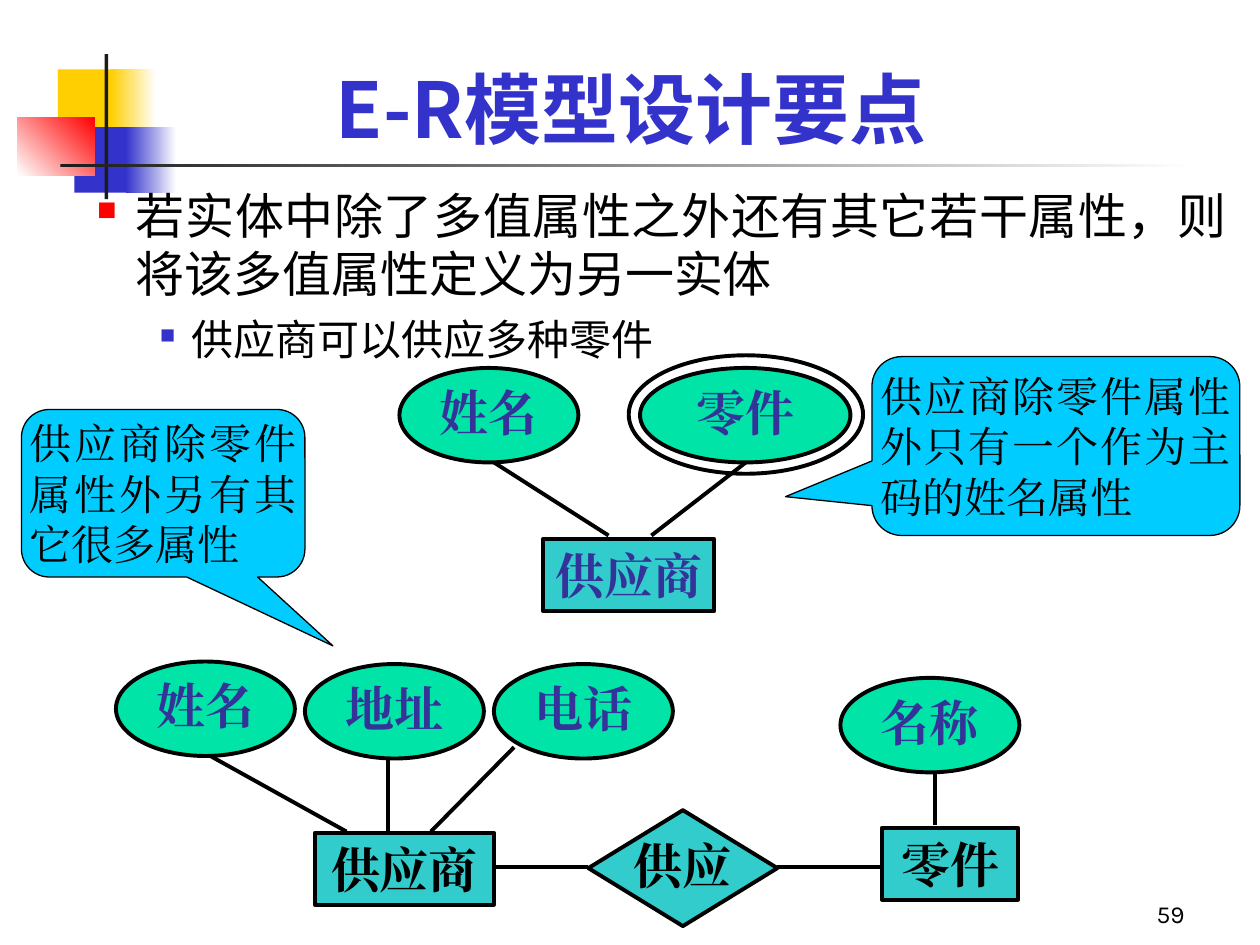
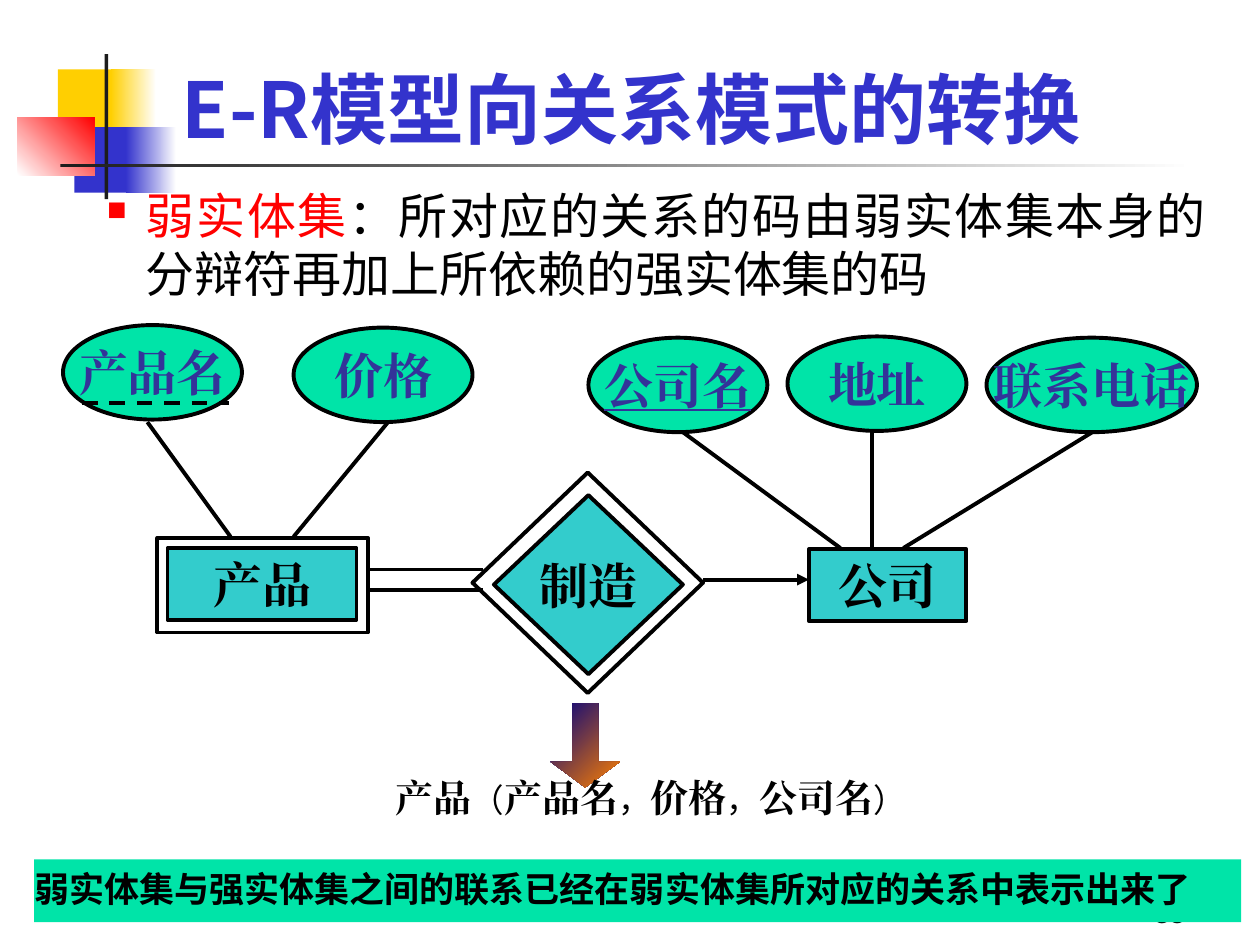
from lxml import etree
from pptx import Presentation
from pptx.dml.color import RGBColor
from pptx.enum.dml import MSO_LINE
from pptx.enum.shapes import MSO_CONNECTOR, MSO_SHAPE
from pptx.enum.text import MSO_ANCHOR, MSO_AUTO_SIZE, PP_ALIGN
from pptx.oxml.ns import qn
from pptx.util import Inches, Pt

RECTANGLE = MSO_SHAPE.RECTANGLE
ELLIPSE = MSO_SHAPE.OVAL
DIAMOND = MSO_SHAPE.DIAMOND
CALLOUT = MSO_SHAPE.ROUNDED_RECTANGULAR_CALLOUT
DOWN_ARROW = MSO_SHAPE.DOWN_ARROW
STRAIGHT = MSO_CONNECTOR.STRAIGHT
DASH = MSO_LINE.DASH
MIDDLE = MSO_ANCHOR.MIDDLE
BOTTOM = MSO_ANCHOR.BOTTOM
NO_AUTOFIT = MSO_AUTO_SIZE.NONE
CENTER = PP_ALIGN.CENTER
RIGHT = PP_ALIGN.RIGHT
JUSTIFY = PP_ALIGN.JUSTIFY

COLORS = {
    "black": "000000",
    "white": "FFFFFF",
    "charcoal": "1C1C1C",
    "yellow": "FFCF01",
    "red": "FF0000",
    "blue": "3333CC",
    "label": "333399",
    "entity": "33CCCC",
    "attribute": "00E4A8",
    "callout": "00CCFF",
    "navy": "000082",
    "orange": "FF8200",
}
TITLE_FONT = "Noto Sans CJK SC"
BODY_FONT = "Karla"
DIAGRAM_FONT = "Times New Roman"
LINE_WIDTH = 2.25

DECORATIONS = [
    ((0.46, 0.55, 0.48, 0.52), ["yellow"], 0),
    ((0.88, 0.55, 0.36, 0.52), ["yellow", "white"], 0),
    ((0.59, 1.01, 0.46, 0.52), ["blue"], 0),
    ((1, 1.01, 0.4, 0.52), ["blue", "white"], 0),
    ((0.14, 0.93, 0.61, 0.46), ["white", "red"], 45),
    ((0.83, 0.43, 0.03, 1.15), ["charcoal"], 0),
    ((0.48, 1.3, 9, 0.03), ["charcoal", "white"], 0),
]
BULLETS = {
    1: {"left": 0.81, "indent": -0.31, "color": "red", "percent": 55, "size": 28, "before": 0},
    2: {"left": 1.25, "indent": -0.25, "color": "blue", "percent": 50, "size": 24, "before": 6},
}
PAGES = [
    {
        "title": "E-R模型设计要点",
        "number": "59",
        "body_box": (0.17, 1.42, 9.67, 1.67),
        "body": [
            (1, [("若实体中除了多值属性之外还有其它若干属性，则将该多值属性定义为另一实体", "black")]),
            (2, [("供应商可以供应多种零件", "black")]),
        ],
        "spacing": 0.9,
        "outlines": [(ELLIPSE, (4.99, 2.82, 1.86, 0.94))],
        "attributes": [
            ("姓名", 3.17, 2.92, 1.42),
            ("零件", 5.08, 2.92, 1.67),
            ("名称", 6.67, 5.38, 1.42),
            ("姓名", 0.92, 5.25, 1.42),
            ("地址", 2.42, 5.27, 1.42),
            ("电话", 3.92, 5.27, 1.42),
        ],
        "entities": [
            ("供应商", 4.31, 4.28, 1.36, "label"),
            ("零件", 7, 6.57, 1.08, "black"),
            ("供应商", 2.5, 6.61, 1.42, "black"),
        ],
        "relation": ("供应", (4.67, 6.43, 1.5, 0.92)),
        "lines": [
            (5.92, 3.67, 5.17, 4.25),
            (4.83, 4.25, 3.92, 3.67),
            (3.92, 6.88, 4.67, 6.88),
            (6.17, 6.88, 7, 6.88),
            (7.42, 6.55, 7.42, 6.13),
            (2.75, 6.6, 1.67, 6),
            (3.08, 6.6, 3.08, 6.02),
            (3.42, 6.6, 4.08, 5.93),
        ],
    },
    {
        "title": "E-R模型向关系模式的转换",
        "number": "88",
        "body_box": (0.25, 1.42, 9.42, 1.08),
        "body": [
            (1, [("弱实体集", "red"),
                 ("：所对应的关系的码由弱实体集本身的分辩符再加上所依赖的强实体集的码", "black")]),
        ],
        "spacing": 1.0,
        "outlines": [(DIAMOND, (3.75, 3.75, 1.83, 1.75)), (RECTANGLE, (1.25, 4.27, 1.67, 0.75))],
        "attributes": [
            ("产品名", 0.5, 2.58, 1.42),
            ("价格", 2.33, 2.6, 1.42),
            ("公司名", 4.67, 2.68, 1.42),
            ("地址", 6.25, 2.67, 1.42),
            ("联系电话", 7.83, 2.68, 1.67),
        ],
        "entities": [("产品", 1.33, 4.35, 1.5, "black"), ("公司", 6.42, 4.36, 1.25, "black")],
        "relation": ("制造", (3.92, 3.93, 1.5, 1.42)),
        "lines": [
            (2.92, 4.52, 3.83, 4.52),
            (2.92, 4.68, 3.83, 4.68),
            (1.83, 4.26, 1.17, 3.35),
            (2.33, 4.26, 3.08, 3.35),
            (6.67, 4.35, 5.42, 3.43),
            (6.92, 4.35, 6.92, 3.43),
            (7.17, 4.35, 8.67, 3.43),
        ],
    },
]
CALLOUTS = [
    ("供应商除零件属性外只有一个作为主码的姓名属性", (6.92, 2.83, 2.92, 1.42), (-0.735, 0.283)),
    ("供应商除零件属性外另有其它很多属性", (0.17, 3.25, 2.25, 1.33), (0.599, 0.911)),
]


def add_shape(slide, preset, box, colors=(), angle=0, line_width=0):
    shape = slide.shapes.add_shape(preset, *map(Inches, box))
    shape.shadow.inherit = False
    if len(colors) == 2:
        shape.fill.gradient()
        shape.fill.gradient_angle = angle
        for stop, color, position in zip(shape.fill.gradient_stops, colors, (0, 1)):
            stop.color.rgb = RGBColor.from_string(COLORS[color])
            stop.position = position
    elif colors:
        shape.fill.solid()
        shape.fill.fore_color.rgb = RGBColor.from_string(COLORS[colors[0]])
    else:
        shape.fill.background()
    if line_width:
        shape.line.width = Pt(line_width)
        shape.line.color.rgb = RGBColor.from_string(COLORS["black"])
    else:
        shape.line.fill.background()
    shape.text_frame.vertical_anchor = MIDDLE
    return shape


def add_run(paragraph, text, size, font_name, color="black", bold=False):
    run = paragraph.add_run()
    run.text = text
    run.font.size = Pt(size)
    run.font.bold = bold
    run.font.color.rgb = RGBColor.from_string(COLORS[color])
    run.font.name = font_name
    etree.SubElement(run._r.get_or_add_rPr(), qn("a:ea"), typeface=font_name)
    return run


presentation = Presentation()
presentation.slide_width = Inches(10)
presentation.slide_height = Inches(7.5)
slides = []

for page in PAGES:
    slide = presentation.slides.add_slide(presentation.slide_layouts[5])
    slides.append(slide)
    for box, colors, angle in DECORATIONS:
        add_shape(slide, RECTANGLE, box, colors, angle)

    title = slide.shapes.title
    title.left, title.top, title.width, title.height = map(Inches, (0.75, 0.25, 8.52, 1.02))
    title.text_frame.auto_size = NO_AUTOFIT
    title.text_frame.vertical_anchor = BOTTOM
    paragraph = title.text_frame.paragraphs[0]
    paragraph.alignment = CENTER
    add_run(paragraph, page["title"], 44, TITLE_FONT, "blue", True)

    number_box = slide.shapes.add_textbox(*map(Inches, (7.42, 6.92, 2.08, 0.5)))
    number_box.text_frame.word_wrap = True
    number_box.text_frame.vertical_anchor = BOTTOM
    paragraph = number_box.text_frame.paragraphs[0]
    paragraph.alignment = RIGHT
    add_run(paragraph, page["number"], 14, BODY_FONT)

    body = slide.shapes.add_textbox(*map(Inches, page["body_box"]))
    body.text_frame.word_wrap = True
    for index, (level, runs) in enumerate(page["body"]):
        paragraph = body.text_frame.add_paragraph() if index else body.text_frame.paragraphs[0]
        bullet = BULLETS[level]
        paragraph.alignment = JUSTIFY
        paragraph.level = level - 1
        paragraph.space_before = Pt(bullet["before"])
        properties = paragraph._p.get_or_add_pPr()
        properties.set("marL", str(Inches(bullet["left"])))
        properties.set("indent", str(Inches(bullet["indent"])))
        bullet_color = etree.SubElement(properties, qn("a:buClr"))
        etree.SubElement(bullet_color, qn("a:srgbClr"), val=COLORS[bullet["color"]])
        etree.SubElement(properties, qn("a:buSzPct"), val=str(bullet["percent"] * 1000))
        etree.SubElement(properties, qn("a:buChar"), char="■")
        for text, color in runs:
            add_run(paragraph, text, bullet["size"], BODY_FONT, color)

    for preset, box in page["outlines"]:
        add_shape(slide, preset, box, line_width=LINE_WIDTH)

    nodes = [(ELLIPSE, text, (left, top, width, 0.75), "attribute", "label", page["spacing"])
             for text, left, top, width in page["attributes"]]
    nodes += [(RECTANGLE, text, (left, top, width, 0.57), "entity", color, 1.0)
              for text, left, top, width, color in page["entities"]]
    nodes.append((DIAMOND, *page["relation"], "entity", "black", page["spacing"]))
    for preset, text, box, fill, color, spacing in nodes:
        node = add_shape(slide, preset, box, [fill], line_width=LINE_WIDTH)
        node.text_frame.word_wrap = False
        paragraph = node.text_frame.paragraphs[0]
        paragraph.alignment = CENTER
        paragraph.line_spacing = spacing
        run = add_run(paragraph, text, 28, DIAGRAM_FONT, color, True)
        run.font.underline = text == "公司名"

    links = [(ends, None) for ends in page["lines"]]
    if page is PAGES[1]:
        links += [((5.58, 4.6, 6.42, 4.6), "arrow"), ((0.65, 3.2, 1.82, 3.2), "dash")]
    for ends, style in links:
        connector = slide.shapes.add_connector(STRAIGHT, *map(Inches, ends))
        connector.line.width = Pt(LINE_WIDTH)
        connector.line.color.rgb = RGBColor.from_string(COLORS["black"])
        if style == "dash":
            connector.line.dash_style = DASH
        if style == "arrow":
            etree.SubElement(connector.line._get_or_add_ln(), qn("a:tailEnd"), type="triangle")
        etree.SubElement(connector._element.spPr, qn("a:effectLst"))

design_slide, conversion_slide = slides

for text, box, pointer in CALLOUTS:
    callout = add_shape(design_slide, CALLOUT, box, ["callout"], line_width=0.75)
    for index, value in enumerate(pointer):
        callout.adjustments[index] = value
    frame = callout.text_frame
    frame.margin_left = frame.margin_right = frame.margin_top = frame.margin_bottom = 0
    frame.word_wrap = True
    frame.paragraphs[0].alignment = JUSTIFY
    add_run(frame.paragraphs[0], text, 24, DIAGRAM_FONT)

arrow = add_shape(conversion_slide, DOWN_ARROW, (4.37, 5.58, 0.55, 0.67), ["navy", "orange"], 315)
arrow.adjustments[0] = 0.37
arrow.adjustments[1] = 0.37

schema = conversion_slide.shapes.add_textbox(*map(Inches, (1.08, 6.17, 7.67, 0.5)))
schema.text_frame.word_wrap = True
paragraph = schema.text_frame.paragraphs[0]
paragraph.alignment = CENTER
paragraph.line_spacing = 0.8
properties = paragraph._p.get_or_add_pPr()
properties.set("marL", str(Inches(0.81)))
properties.set("indent", str(Inches(-0.31)))
for name, mark in [("产品", "（"), ("产品名", "，"), ("价格", "，"), ("公司名", "）")]:
    add_run(paragraph, name, 21.7, DIAGRAM_FONT, bold=True)
    add_run(paragraph, mark, 18.6, BODY_FONT)

band = add_shape(conversion_slide, RECTANGLE, (0.27, 6.82, 9.58, 0.5), ["attribute"])
frame = band.text_frame
frame.margin_left = frame.margin_right = frame.margin_top = frame.margin_bottom = 0
frame.word_wrap = True
paragraph = frame.paragraphs[0]
paragraph.alignment = JUSTIFY
paragraph.line_spacing = 0.9
add_run(paragraph, "弱实体集与强实体集之间的联系已经在弱实体集所对应的关系中表示出来了", 20, BODY_FONT, bold=True)

presentation.save("out.pptx")
